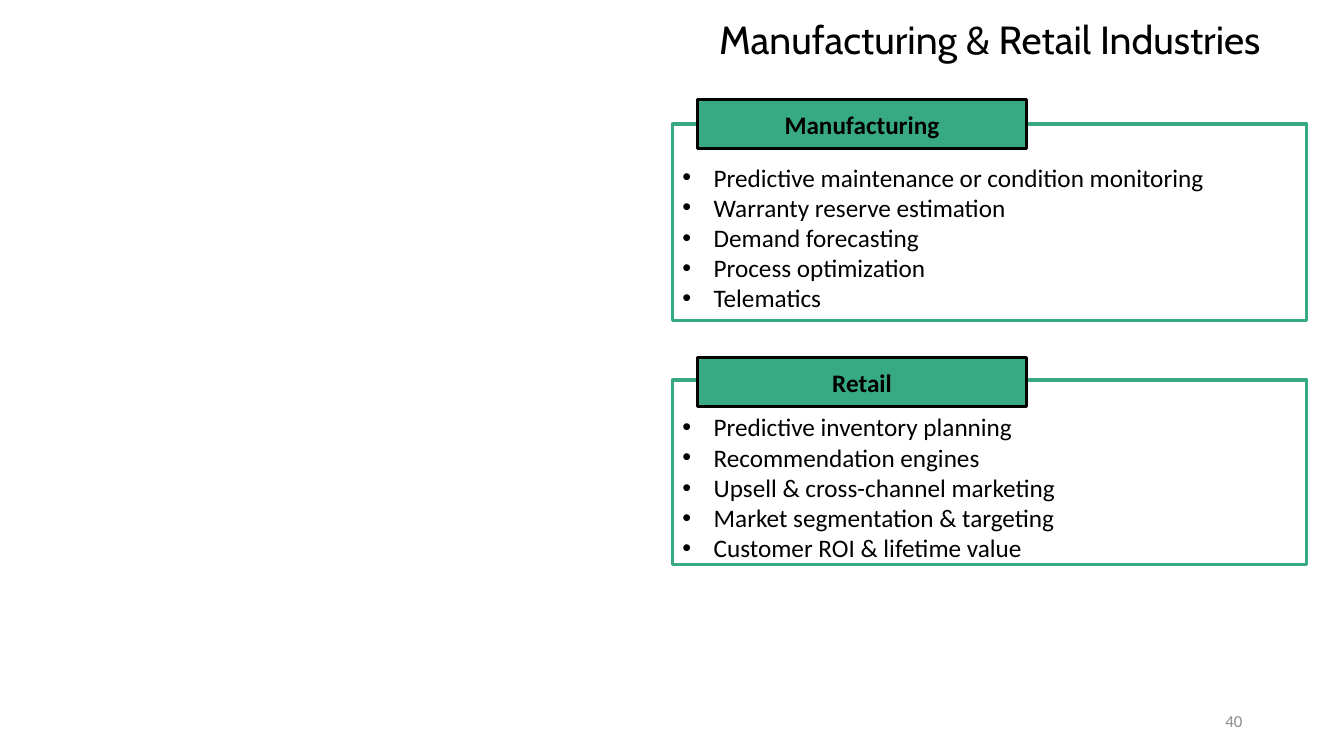
from lxml import etree
from pptx import Presentation
from pptx.dml.color import RGBColor
from pptx.enum.shapes import MSO_SHAPE
from pptx.enum.text import MSO_ANCHOR, PP_ALIGN
from pptx.oxml.ns import qn
from pptx.util import Inches, Pt

RECTANGLE = MSO_SHAPE.RECTANGLE
TOP, MIDDLE = MSO_ANCHOR.TOP, MSO_ANCHOR.MIDDLE
LEFT, CENTER, RIGHT = PP_ALIGN.LEFT, PP_ALIGN.CENTER, PP_ALIGN.RIGHT

GREEN, BLACK, GRAY = "37AA84", "000000", "8C8C8C"
COLUMN_LEFT, COLUMN_WIDTH = 6.67, 6.29

# Heading, heading top, panel top, panel height, items
SECTIONS = [
    ("Manufacturing", 0.99, 1.23, 1.95, [
        "Predictive maintenance or condition monitoring",
        "Warranty reserve estimation",
        "Demand forecasting",
        "Process optimization",
        "Telematics",
    ]),
    ("Retail", 3.55, 3.77, 1.83, [
        "Predictive inventory planning",
        "Recommendation engines",
        "Upsell & cross-channel marketing",
        "Market segmentation & targeting",
        "Customer ROI & lifetime value",
    ]),
]


def color(value):
    return RGBColor.from_string(value)


class SlideBuilder:
    """Holds the current slide and its shared text and outline style."""

    body_font = "Calibri"
    body_size = 18
    outline_width = 2.25

    def __init__(self, slide):
        self.slide = slide

    def set_text(self, shape, lines, align, anchor=MIDDLE, size=body_size,
                 font=body_font, text_color=BLACK, bold=False):
        frame = shape.text_frame
        frame.word_wrap = True
        frame.vertical_anchor = anchor
        frame.text = "\n".join(lines)
        for paragraph in frame.paragraphs:
            paragraph.alignment = align
            for run in paragraph.runs:
                run.font.name = font
                run.font.size = Pt(size)
                run.font.bold = bold
                run.font.color.rgb = color(text_color)
        return frame

    def label(self, text, left, top, width, height, align, **style):
        box = self.slide.shapes.add_textbox(
            Inches(left), Inches(top), Inches(width), Inches(height))
        return self.set_text(box, [text], align, **style)

    def rectangle(self, left, top, width, height, line, fill=None):
        shape = self.slide.shapes.add_shape(
            RECTANGLE, Inches(left), Inches(top), Inches(width), Inches(height))
        shape.shadow.inherit = False
        shape.line.color.rgb = color(line)
        shape.line.width = Pt(self.outline_width)
        if fill:
            shape.fill.solid()
            shape.fill.fore_color.rgb = color(fill)
        else:
            shape.fill.background()
        return shape

    def bullet_panel(self, top, height, items):
        panel = self.rectangle(COLUMN_LEFT, top, COLUMN_WIDTH, height, GREEN)
        frame = self.set_text(panel, items, LEFT)
        frame.margin_top = Inches(0.35)
        indent = Inches(0.31)
        for paragraph in frame.paragraphs:
            properties = paragraph._p.get_or_add_pPr()
            properties.set("marL", str(indent))
            properties.set("indent", str(-indent))
            etree.SubElement(properties, qn("a:buFont"), typeface="Arial")
            etree.SubElement(properties, qn("a:buChar"), char="•")

    def heading(self, text, top):
        shape = self.rectangle(6.92, top, 3.26, 0.48, BLACK, GREEN)
        self.set_text(shape, [text], CENTER, bold=True)


def main():
    presentation = Presentation()
    presentation.slide_width = Inches(13.33)
    presentation.slide_height = Inches(7.5)
    builder = SlideBuilder(
        presentation.slides.add_slide(presentation.slide_layouts[6]))

    title = builder.label("Manufacturing & Retail Industries", COLUMN_LEFT, 0.16,
                          COLUMN_WIDTH, 0.61, CENTER, anchor=TOP, size=28,
                          font="Cabin")
    title.paragraphs[0].line_spacing = 0.9

    for name, heading_top, panel_top, panel_height, items in SECTIONS:
        builder.bullet_panel(panel_top, panel_height, items)
        builder.heading(name, heading_top)

    builder.label("40", 9.42, 6.95, 3, 0.4, RIGHT, size=12, text_color=GRAY)
    presentation.save("out.pptx")


if __name__ == "__main__":
    main()
